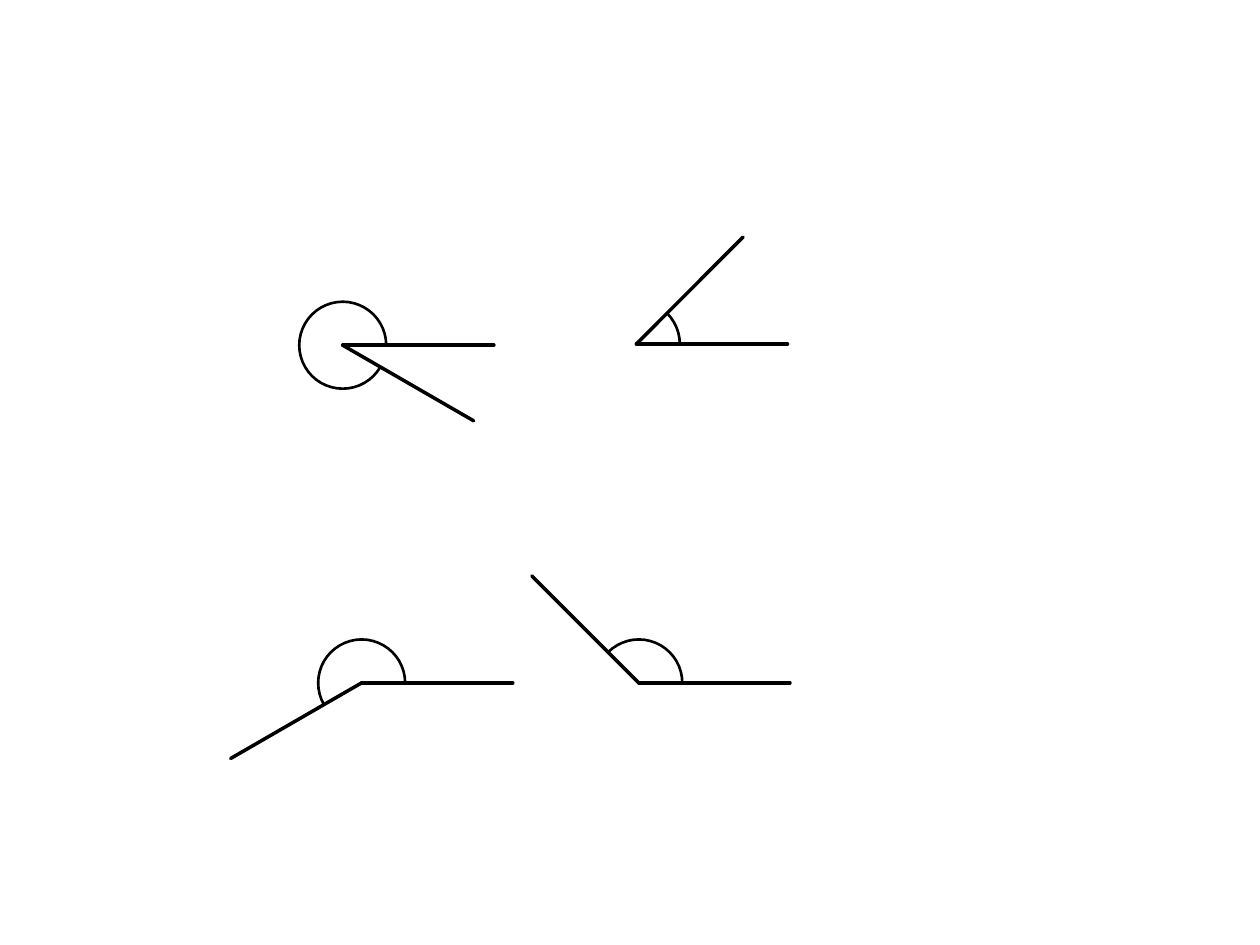
"""Draw four angles, each with two rays and an arc, grouped in rows."""
from math import cos, radians, sin

from lxml import etree
from pptx import Presentation
from pptx.dml.color import RGBColor
from pptx.enum.shapes import MSO_CONNECTOR, MSO_SHAPE
from pptx.oxml.ns import qn
from pptx.util import Inches, Pt

STRAIGHT = MSO_CONNECTOR.STRAIGHT
ARC = MSO_SHAPE.ARC
COLORS = {"ink": "000000"}
RAY_LENGTH = 1.2
ARC_RADIUS = 0.345
ROWS = [
    [(2.87, 5.42, 210), (5.07, 5.42, 135)],
    [(2.72, 2.74, 330), (5.05, 2.73, 45)],
]


def style_line(line, width):
    """Give a line its colour and width."""
    line.color.rgb = RGBColor.from_string(COLORS["ink"])
    line.width = Pt(width)


def add_ray(shapes, x, y, degrees):
    """Add a ray from a vertex, turned counterclockwise from the right."""
    angle = radians(degrees)
    end_x = x + RAY_LENGTH * cos(angle)
    end_y = y - RAY_LENGTH * sin(angle)
    ray = shapes.add_connector(
        STRAIGHT, Inches(x), Inches(y), Inches(end_x), Inches(end_y))
    style_line(ray.line, 2)
    sp_pr = ray._element.spPr
    sp_pr.find(qn("a:ln")).set("cap", "rnd")
    etree.SubElement(sp_pr, qn("a:effectLst"))


def add_arc(shapes, x, y, degrees):
    """Add the arc that marks an angle around its vertex."""
    size = Inches(2 * ARC_RADIUS)
    arc = shapes.add_shape(
        ARC, Inches(x - ARC_RADIUS), Inches(y - ARC_RADIUS), size, size)
    arc.shadow.inherit = False
    arc.fill.background()
    style_line(arc.line, 1.5)
    arc.adjustments[0] = (360 - degrees) * 0.6
    arc.adjustments[1] = 0


def add_angle(shapes, x, y, degrees):
    """Add an angle made of a turned ray, a level ray and an arc."""
    add_ray(shapes, x, y, degrees)
    add_ray(shapes, x, y, 0)
    add_arc(shapes, x, y, degrees)


def main():
    """Build and save the slide."""
    prs = Presentation()
    prs.slide_width, prs.slide_height = Inches(10), Inches(7.5)
    s = prs.slides.add_slide(prs.slide_layouts[6])
    for row in ROWS:
        group = s.shapes.add_group_shape()
        for x, y, degrees in row:
            add_angle(group.shapes, x, y, degrees)
    prs.save("out.pptx")


if __name__ == "__main__":
    main()
